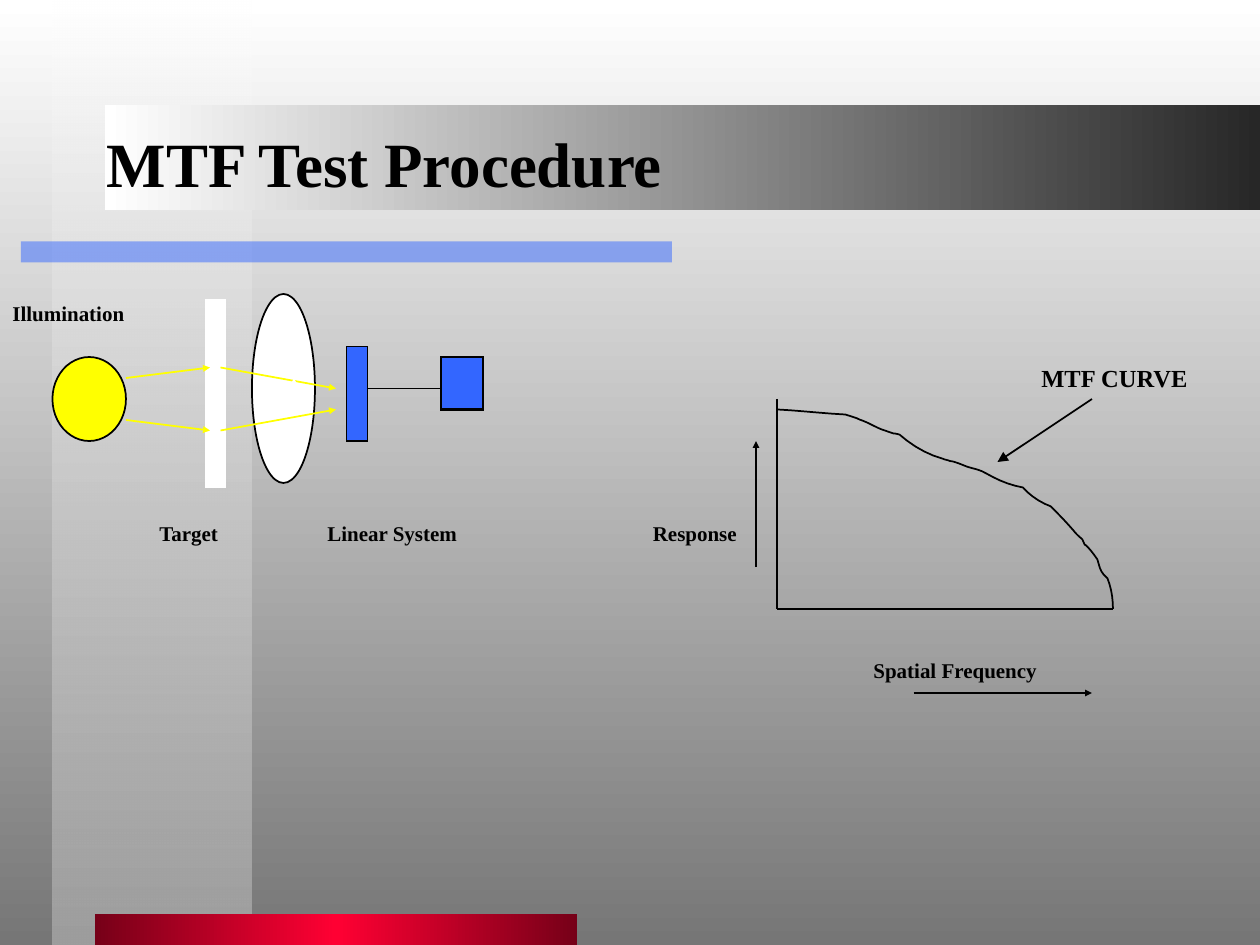
from lxml import etree
from pptx import Presentation
from pptx.dml.color import RGBColor
from pptx.enum.shapes import MSO_CONNECTOR, MSO_SHAPE
from pptx.enum.text import MSO_ANCHOR
from pptx.oxml.ns import qn
from pptx.util import Pt

RECT, OVAL = MSO_SHAPE.RECTANGLE, MSO_SHAPE.OVAL
STRAIGHT = MSO_CONNECTOR.STRAIGHT
TOP, MIDDLE = MSO_ANCHOR.TOP, MSO_ANCHOR.MIDDLE
DOWN, RIGHTWARD = 270, 0
COLORS = {
    "black": "000000", "white": "FFFFFF", "yellow": "FFFF00", "blue": "3366FF",
    "grey": "767676", "silver": "9E9E9E", "charcoal": "272727",
    "red": "FF0033", "maroon": "760018",
}
CURVE_START = (444, 234)
CURVE_SEGMENTS = [
    ((457.2, 234.7), (469.4, 236.2), (483.1, 236.9)),
    ((485.3, 237.6), (487.4, 238.3), (489.6, 239)),
    ((491, 239.8), (493.2, 240.5), (493.2, 240.5)),
    ((496.8, 241.9), (500.4, 244.1), (504, 245.5)),
    ((506.2, 246.2), (508.3, 247), (510.5, 247.7)),
    ((511.9, 247.7), (514.1, 248.4), (514.1, 248.4)),
    ((520.6, 254.2), (529.9, 259.9), (538.6, 262.1)),
    ((540, 262.8), (541.4, 262.8), (542.9, 263.5)),
    ((545, 263.5), (550.1, 265.7), (550.1, 265.7)),
    ((554.4, 267.8), (559.4, 267.8), (563.8, 270.7)),
    ((570.2, 274.3), (576.7, 277.2), (584.6, 278.6)),
    ((588.2, 283), (594.7, 287.3), (600.5, 289.4)),
    ((605.5, 294.5), (608.4, 297.4), (613.4, 303.1)),
    ((614.9, 305.3), (618.5, 308.2), (618.5, 308.2)),
    ((621.4, 314.6), (618.5, 308.9), (622.1, 313.2)),
    ((624.2, 315.4), (627.1, 319.7), (627.1, 319.7)),
    ((628.6, 324.7), (628.6, 326.9), (632.9, 330.5)),
    ((635, 336.2), (636, 341.3), (636, 348)),
]


def rgb(name):
    """Return the named colour."""
    return RGBColor.from_string(COLORS[name])


def bezier(points, t):
    """Return the point at t on a cubic Bezier curve."""
    weights = ((1 - t) ** 3, 3 * t * (1 - t) ** 2, 3 * t * t * (1 - t), t ** 3)
    return tuple(sum(w * p[axis] for w, p in zip(weights, points)) for axis in (0, 1))


def set_alpha(color, percent):
    """Make an XML colour partly transparent."""
    etree.SubElement(color, qn("a:alpha")).set("val", str(percent * 1000))


class Canvas:
    """Holds the style and the current slide."""

    def __init__(self, slide, font="Times New Roman", line_width=1):
        self.slide, self.font, self.line_width = slide, font, line_width

    def gradient(self, fill, element, stops, angle):
        """Fill with evenly spaced (colour, opacity) stops."""
        fill.gradient()
        fill.gradient_angle = angle
        stop_list = element.xpath(".//a:gsLst")[0]
        for old_stop in list(stop_list):
            stop_list.remove(old_stop)
        for index, (name, opacity) in enumerate(stops):
            stop = etree.SubElement(stop_list, qn("a:gs"))
            stop.set("pos", str(index * 100000 // (len(stops) - 1)))
            color = etree.SubElement(stop, qn("a:srgbClr"))
            color.set("val", COLORS[name])
            if opacity < 100:
                set_alpha(color, opacity)

    def background(self, stops, angle):
        """Paint the slide background with a gradient."""
        self.gradient(self.slide.background.fill, self.slide.element, stops, angle)

    def shape(self, kind, box, fill=None, line=None, width=None, opacity=100):
        """Add a preset shape, without an outline unless one is named."""
        shape = self.slide.shapes.add_shape(kind, *map(Pt, box))
        shape.shadow.inherit = False
        if fill:
            shape.fill.solid()
            shape.fill.fore_color.rgb = rgb(fill)
            if opacity < 100:
                set_alpha(shape.element.spPr.xpath("./a:solidFill/a:srgbClr")[0], opacity)
        if line:
            shape.line.color.rgb = rgb(line)
            shape.line.width = Pt(width or self.line_width)
            outline = shape.element.spPr.xpath("./a:ln")[0]
            etree.SubElement(outline, qn("a:miter")).set("lim", "800000")
        else:
            shape.line.fill.background()
        return shape

    def band(self, box, stops, angle):
        """Add a rectangle with a gradient."""
        band = self.shape(RECT, box)
        self.gradient(band.fill, band.element, stops, angle)

    def line(self, start, end, color="black", head=None):
        """Add a straight line, with an arrowhead of the given size if any."""
        line = self.slide.shapes.add_connector(STRAIGHT, *map(Pt, start + end))
        line.line.color.rgb = rgb(color)
        line.line.width = Pt(self.line_width)
        if head:
            outline = line.element.spPr.xpath("./a:ln")[0]
            tail = etree.SubElement(outline, qn("a:tailEnd"))
            for key, value in (("type", "triangle"), ("w", head), ("len", head)):
                tail.set(key, value)
        etree.SubElement(line.element.spPr, qn("a:effectLst"))

    def curve(self, start, segments, steps=5):
        """Add an open curve made of cubic Bezier segments."""
        vertices, current = [], start
        for segment in segments:
            points = (current,) + segment
            vertices += [bezier(points, step / steps) for step in range(1, steps + 1)]
            current = segment[-1]
        builder = self.slide.shapes.build_freeform(*map(Pt, start))
        builder.add_line_segments([tuple(map(Pt, v)) for v in vertices], close=False)
        curve = builder.convert_to_shape()
        curve.shadow.inherit = False
        curve.fill.background()
        curve.line.color.rgb = rgb("black")
        curve.line.width = Pt(self.line_width)

    def text(self, words, box, size=12, anchor=TOP):
        """Add a bold text box."""
        frame = self.slide.shapes.add_textbox(*map(Pt, box)).text_frame
        frame.word_wrap = True
        frame.vertical_anchor = anchor
        run = frame.paragraphs[0].add_run()
        run.text = words
        run.font.name, run.font.size, run.font.bold = self.font, Pt(size), True
        run.font.color.rgb = rgb("black")


def main():
    """Build the slide and save it."""
    deck = Presentation()
    deck.slide_width, deck.slide_height = Pt(720), Pt(540)
    canvas = Canvas(deck.slides.add_slide(deck.slide_layouts[6]))

    canvas.background([("white", 100), ("grey", 100)], DOWN)
    canvas.band((30, 0, 114, 540), [("white", 50), ("silver", 100)], DOWN)
    canvas.shape(RECT, (12, 138, 372, 12), "blue", opacity=50)
    canvas.band((54, 522, 276, 18),
                [("maroon", 100), ("red", 100), ("maroon", 100)], RIGHTWARD)
    canvas.band((60, 60, 660, 60), [("white", 100), ("charcoal", 100)], RIGHTWARD)
    canvas.text("MTF Test Procedure", (54, 48, 612, 90), 36, MIDDLE)

    origin, curve_end = (444, 348), CURVE_SEGMENTS[-1][-1]
    canvas.text("MTF CURVE", (588, 204, 114, 24), 14)
    canvas.line((444, 228), origin)
    canvas.line(origin, curve_end)
    canvas.curve(CURVE_START, CURVE_SEGMENTS)
    canvas.line((624, 228), (570, 264), head="med")
    canvas.text("Spatial Frequency", (492, 372, 132, 22))
    canvas.line((522, 396), (624, 396), head="sm")
    canvas.text("Response", (366, 294, 66, 22))
    canvas.line((432, 324), (432, 252), head="sm")

    canvas.shape(OVAL, (30, 204, 42, 48), "yellow", "black")
    canvas.shape(RECT, (120, 174, 6, 102), "black", "white", 6)
    canvas.shape(OVAL, (144, 168, 36, 108), "white", "black")
    canvas.shape(RECT, (198, 198, 12, 54), "blue", "black")
    canvas.shape(RECT, (252, 204, 24, 30), "blue", "black", 1.5)
    canvas.line((210, 222), (252, 222))
    for start, end in (((72, 216), (120, 210)), ((72, 240), (120, 246)),
                       ((126, 210), (192, 222)), ((126, 246), (192, 234))):
        canvas.line(start, end, "yellow", "sm")
    canvas.line((168, 222), (168, 216), "white", "sm")

    canvas.text("Illumination", (0, 168, 96, 22))
    canvas.text("Target", (84, 294, 54, 22))
    canvas.text("Linear System", (180, 294, 114, 22))
    deck.save("out.pptx")


if __name__ == "__main__":
    main()
